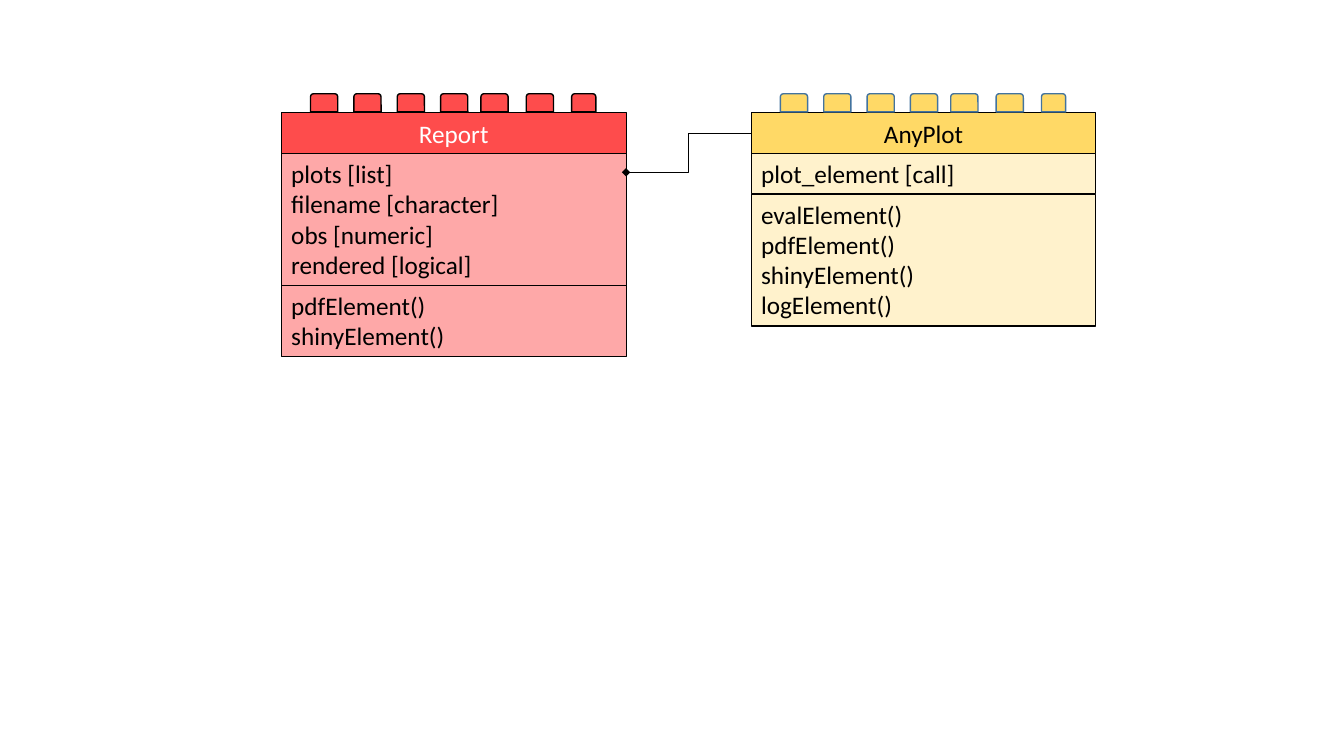
from dataclasses import dataclass

from lxml.etree import SubElement
from pptx import Presentation
from pptx.dml.color import RGBColor
from pptx.enum.shapes import MSO_CONNECTOR, MSO_SHAPE
from pptx.enum.text import MSO_ANCHOR, MSO_AUTO_SIZE, PP_ALIGN
from pptx.oxml.ns import qn
from pptx.shapes.autoshape import Shape
from pptx.slide import Slide
from pptx.util import Inches, Pt


@dataclass(frozen=True)
class Theme:
    font: str = "Calibri"
    text_size: int = 18
    box_line: float = 0.75
    stud_line: float = 1
    connector_line: float = 0.5
    black: str = "000000"
    white: str = "FFFFFF"
    red: str = "FE4C4C"
    light_red: str = "FEA8A8"
    yellow: str = "FFD966"
    light_yellow: str = "FFF2CC"
    blue: str = "43739E"


@dataclass(frozen=True)
class ClassCard:
    name: str
    left: float
    attributes: list[str]
    methods: list[str]
    header_fill: str
    body_fill: str
    name_color: str
    stud_line: str
    tuck: float = 0  # how far the attributes reach under the methods


THEME = Theme()
CARD_TOP = 1.12
CARD_WIDTH = 3.42
TEXT_PADDING = 0.1
LINE_HEIGHT = THEME.text_size * 1.21 / 72
STUD_TOP = 0.93
STUD_HEIGHT = 0.18
STUD_WIDTH = 0.27
LAST_STUD_WIDTH = 0.24
STUD_OFFSETS = [0.29, 0.72, 1.15, 1.58, 1.98, 2.43, 2.88]

REPORT = ClassCard(
    "Report", 2.79,
    ["plots [list]", "filename [character]", "obs [numeric]", "rendered [logical]"],
    ["pdfElement()", "shinyElement()"],
    THEME.red, THEME.light_red, THEME.white, THEME.black, tuck=0.31,
)
ANY_PLOT = ClassCard(
    "AnyPlot", 7.45,
    ["plot_element [call]"],
    ["evalElement()", "pdfElement()", "shinyElement()", "logElement()"],
    THEME.yellow, THEME.light_yellow, THEME.black, THEME.blue,
)


def style_shape(shape: Shape, fill: str, line: str, width: float) -> None:
    shape.shadow.inherit = False
    shape.fill.solid()
    shape.fill.fore_color.rgb = RGBColor.from_string(fill)
    shape.line.color.rgb = RGBColor.from_string(line)
    shape.line.width = Pt(width)


def write_lines(box: Shape, lines: list[str], color: str, align: PP_ALIGN) -> None:
    frame = box.text_frame
    frame.word_wrap = True
    frame.vertical_anchor = MSO_ANCHOR.TOP
    frame.auto_size = MSO_AUTO_SIZE.SHAPE_TO_FIT_TEXT
    frame.text = "\n".join(lines)
    for para in frame.paragraphs:
        para.alignment = align
        para.font.name = THEME.font
        para.font.size = Pt(THEME.text_size)
        para.font.color.rgb = RGBColor.from_string(color)


def draw_card(page: Slide, card: ClassCard) -> Shape:
    """Draw the three stacked compartments and return the header."""
    group = page.shapes.add_group_shape()
    compartments = [
        ([card.name], card.header_fill, card.name_color, PP_ALIGN.CENTER, 0),
        (card.attributes, card.body_fill, THEME.black, PP_ALIGN.LEFT, card.tuck),
        (card.methods, card.body_fill, THEME.black, PP_ALIGN.LEFT, 0),
    ]
    boxes = []
    top = CARD_TOP
    for lines, fill, color, align, tuck in compartments:
        height = TEXT_PADDING + LINE_HEIGHT * len(lines)
        box = group.shapes.add_shape(
            MSO_SHAPE.RECTANGLE, Inches(card.left), Inches(top),
            Inches(CARD_WIDTH), Inches(height + tuck),
        )
        style_shape(box, fill, THEME.black, THEME.box_line)
        write_lines(box, lines, color, align)
        boxes.append(box)
        top += height
    return boxes[0]


def draw_studs(page: Slide, card: ClassCard) -> None:
    group = page.shapes.add_group_shape()
    for offset in STUD_OFFSETS:
        width = LAST_STUD_WIDTH if offset == STUD_OFFSETS[-1] else STUD_WIDTH
        stud = group.shapes.add_shape(
            MSO_SHAPE.ROUND_2_SAME_RECTANGLE, Inches(card.left + offset),
            Inches(STUD_TOP), Inches(width), Inches(STUD_HEIGHT),
        )
        style_shape(stud, card.header_fill, card.stud_line, THEME.stud_line)


def draw_composition(page: Slide, part: Shape, end_x: float, end_y: float) -> None:
    """Link the part's left side to its owner, with a diamond at the owner."""
    link = page.shapes.add_connector(
        MSO_CONNECTOR.ELBOW, part.left, part.top + part.height // 2,
        Inches(end_x), Inches(end_y),
    )
    link.begin_connect(part, 1)
    link.line.color.rgb = RGBColor.from_string(THEME.black)
    link.line.width = Pt(THEME.connector_line)
    properties = link._element.spPr
    SubElement(properties.find(qn("a:ln")), qn("a:tailEnd"), type="diamond")
    SubElement(properties, qn("a:effectLst"))


def main() -> None:
    deck = Presentation()
    deck.slide_width = Inches(13.33)
    deck.slide_height = Inches(7.5)
    page = deck.slides.add_slide(deck.slide_layouts[6])

    # Class cards
    draw_card(page, REPORT)
    plot_header = draw_card(page, ANY_PLOT)

    # Studs on top of each card
    for card in (ANY_PLOT, REPORT):
        draw_studs(page, card)

    # A report is composed of plots
    draw_composition(page, plot_header, REPORT.left + CARD_WIDTH, 1.71)

    deck.save("out.pptx")


if __name__ == "__main__":
    main()
